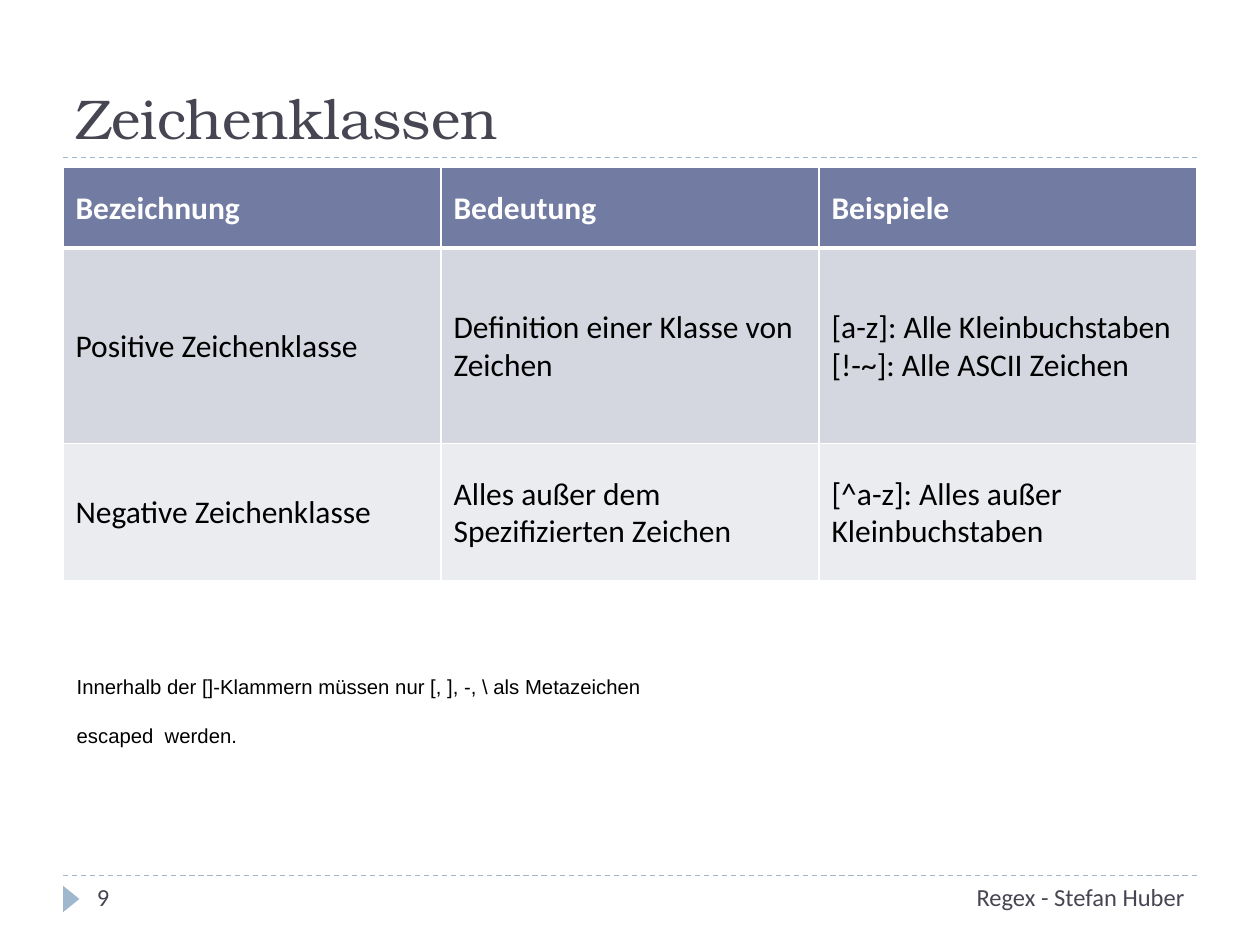
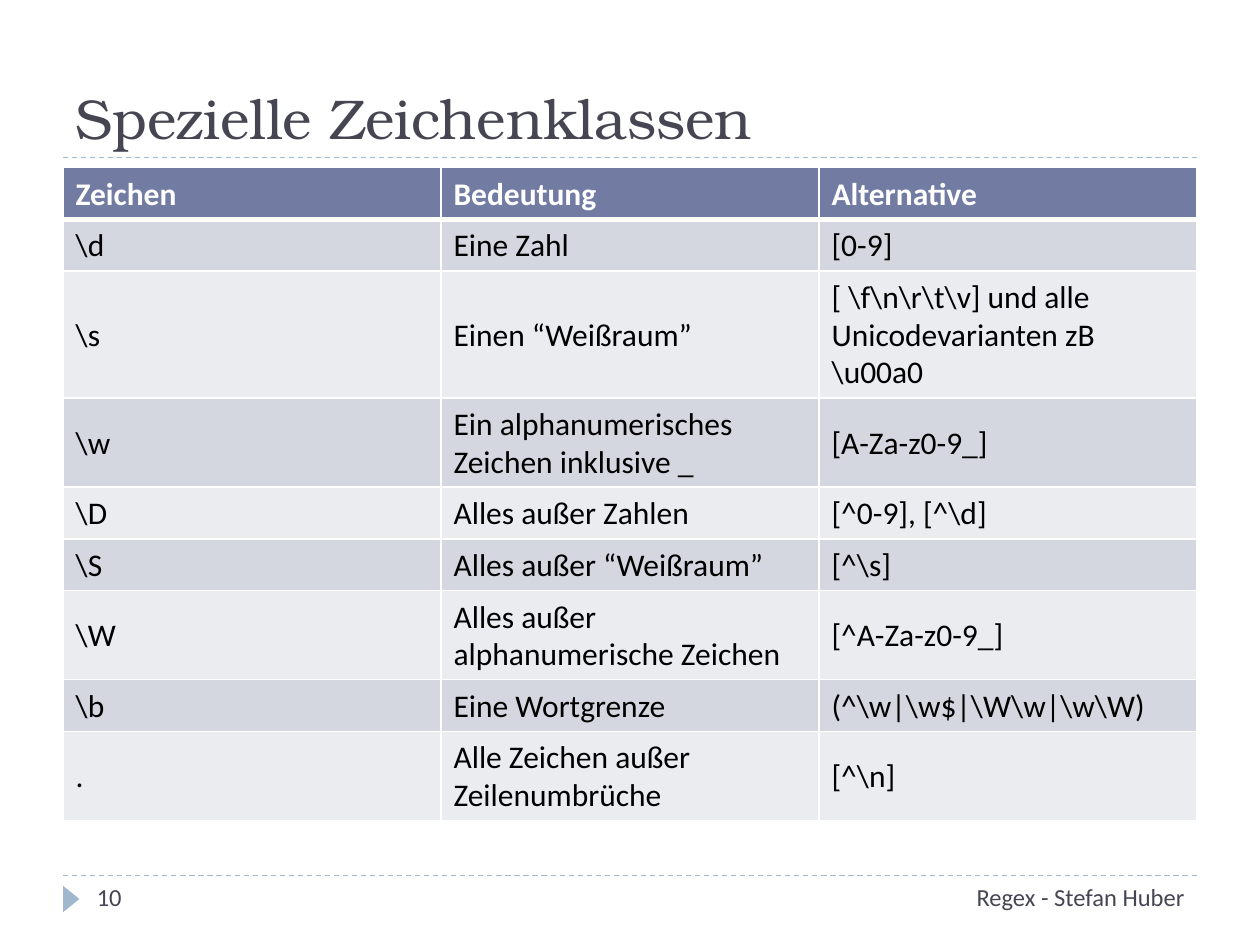
import lxml.etree
import pptx
import pptx.dml.color
import pptx.enum.dml
import pptx.enum.shapes
import pptx.enum.text
import pptx.oxml.ns
import pptx.util

Inches = pptx.util.Inches
Align = pptx.enum.text.PP_ALIGN
Anchor = pptx.enum.text.MSO_ANCHOR

# Content
FOOTER = "Regex - Stefan Huber"
SLIDES = [
    {
        "number": "9",
        "title": "Zeichenklassen",
        "row_heights": [0.64, 1.55, 1.09],
        "rows": [
            ("Bezeichnung", "Bedeutung", "Beispiele"),
            ("Positive Zeichenklasse", "Definition einer Klasse von Zeichen",
             "[a-z]: Alle Kleinbuchstaben\n[!-~]: Alle ASCII Zeichen"),
            ("Negative Zeichenklasse", "Alles außer dem Spezifizierten Zeichen",
             "[^a-z]: Alles außer Kleinbuchstaben"),
        ],
        "note": ["Innerhalb der []-Klammern müssen nur [, ], -, \\ als Metazeichen",
                 "escaped  werden."],
    },
    {
        "number": "10",
        "title": "Spezielle Zeichenklassen",
        "row_heights": [0.41] * 9,
        "rows": [
            ("Zeichen", "Bedeutung", "Alternative"),
            (r"\d", "Eine Zahl", "[0-9]"),
            (r"\s", "Einen “Weißraum”",
             r"[ \f\n\r\t\v] und alle Unicodevarianten zB \u00a0"),
            (r"\w", "Ein alphanumerisches Zeichen inklusive _", "[A-Za-z0-9_]"),
            (r"\D", "Alles außer Zahlen", r"[^0-9], [^\d]"),
            (r"\S", "Alles außer “Weißraum”", r"[^\s]"),
            (r"\W", "Alles außer alphanumerische Zeichen", "[^A-Za-z0-9_]"),
            (r"\b", "Eine Wortgrenze", r"(^\w|\w$|\W\w|\w\W)"),
            (".", "Alle Zeichen außer Zeilenumbrüche", r"[^\n]"),
        ],
    },
]

# Shared style
TITLE_FONT, BODY_FONT, NOTE_FONT = "TeX Gyre Bonum", "Calibri", "Arial"
INK, BLACK, WHITE, ACCENT = "464653", "000000", "FFFFFF", "9FB8CD"
HEADER_FILL, ROW_FILLS = "727CA3", ("D5D7E0", "EBECF0")
LEFT, WIDTH = 0.5, 9
TITLE_RULE, FOOTER_RULE = 1.25, 6.95
TABLE_TOP = 1.33


def color(value):
    return pptx.dml.color.RGBColor.from_string(value)


def add_run(paragraph, text, font, size, ink, bold=False):
    run = paragraph.add_run()
    run.text = text
    run.font.name = font
    run.font.size = pptx.util.Pt(size)
    run.font.bold = bold
    run.font.color.rgb = color(ink)


def add_text_frame(slide, left, top, width, height):
    box = slide.shapes.add_textbox(*map(Inches, (left, top, width, height)))
    box.text_frame.word_wrap = True
    return box.text_frame


def add_rule(slide, top):
    rule = slide.shapes.add_connector(
        pptx.enum.shapes.MSO_CONNECTOR.STRAIGHT,
        Inches(LEFT), Inches(top), Inches(LEFT + WIDTH), Inches(top))
    rule.line.color.rgb = color(ACCENT)
    rule.line.width = pptx.util.Pt(0.75)
    rule.line.dash_style = pptx.enum.dml.MSO_LINE.DASH
    properties = rule._element.spPr
    lxml.etree.SubElement(properties, pptx.oxml.ns.qn("a:effectLst"))


def add_title(slide, text):
    title = slide.shapes.title
    title.left, title.top, title.width, title.height = map(
        Inches, (LEFT, 0.17, WIDTH, 1.08))
    frame = title.text_frame
    frame.vertical_anchor = Anchor.BOTTOM
    paragraph = frame.paragraphs[0]
    paragraph.alignment = Align.LEFT
    add_run(paragraph, text, TITLE_FONT, 32, INK)


def add_footer(slide, number):
    marker = slide.shapes.add_shape(
        pptx.enum.shapes.MSO_SHAPE.ISOSCELES_TRIANGLE,
        Inches(0.46), Inches(7.07), Inches(0.21), Inches(0.13))
    marker.rotation = 90
    marker.shadow.inherit = False
    marker.fill.solid()
    marker.fill.fore_color.rgb = color(ACCENT)
    marker.line.fill.background()
    for text, left, width, alignment in ((FOOTER, 7, 2.5, Align.RIGHT),
                                         (number, 0.67, 2.17, Align.LEFT)):
        paragraph = add_text_frame(slide, left, FOOTER_RULE, width, 0.4).paragraphs[0]
        paragraph.alignment = alignment
        add_run(paragraph, text, BODY_FONT, 14, INK)


def set_borders(cell, widths):
    properties = cell._tc.get_or_add_tcPr()
    for side, width in widths.items():
        line = lxml.etree.SubElement(properties, pptx.oxml.ns.qn("a:ln" + side),
                                     w=str(pptx.util.Pt(width)))
        fill = lxml.etree.SubElement(line, pptx.oxml.ns.qn("a:solidFill"))
        lxml.etree.SubElement(fill, pptx.oxml.ns.qn("a:srgbClr"), val=WHITE)


def format_cell(cell, text, row_index):
    is_header = row_index == 0
    set_borders(cell, {"L": 1, "R": 1, "T": 3 if row_index == 1 else 1,
                       "B": 3 if is_header else 1})
    cell.fill.solid()
    cell.fill.fore_color.rgb = color(
        HEADER_FILL if is_header else ROW_FILLS[(row_index - 1) % 2])
    cell.vertical_anchor = Anchor.MIDDLE
    cell.margin_left = cell.margin_right = Inches(0.1)
    cell.margin_top, cell.margin_bottom = Inches(0.06), Inches(0.05)
    frame = cell.text_frame
    for index, line in enumerate(text.split("\n")):
        paragraph = frame.add_paragraph() if index else frame.paragraphs[0]
        paragraph.line_spacing = 0.98
        add_run(paragraph, line, BODY_FONT, 18, WHITE if is_header else BLACK, is_header)


def add_class_table(slide, rows, row_heights):
    table = slide.shapes.add_table(
        len(rows), len(rows[0]), Inches(LEFT), Inches(TABLE_TOP),
        Inches(WIDTH), Inches(sum(row_heights))).table
    for row_index, (texts, height) in enumerate(zip(rows, row_heights)):
        table.rows[row_index].height = Inches(height)
        for column_index, text in enumerate(texts):
            format_cell(table.cell(row_index, column_index), text, row_index)


def add_note(slide, lines):
    paragraph = add_text_frame(slide, 0.51, 5.11, 8.98, 0.77).paragraphs[0]
    paragraph.line_spacing = 2.0
    for index, line in enumerate(lines):
        if index:
            paragraph.add_line_break()
        add_run(paragraph, line, NOTE_FONT, 11.6, BLACK)


def main():
    presentation = pptx.Presentation()
    presentation.slide_width, presentation.slide_height = Inches(10), Inches(7.5)
    title_only = presentation.slide_layouts[5]
    for content in SLIDES:
        slide = presentation.slides.add_slide(title_only)
        add_rule(slide, FOOTER_RULE)
        add_rule(slide, TITLE_RULE)
        add_title(slide, content["title"])
        add_class_table(slide, content["rows"], content["row_heights"])
        if "note" in content:
            add_note(slide, content["note"])
        add_footer(slide, content["number"])
    presentation.save("out.pptx")


if __name__ == "__main__":
    main()
